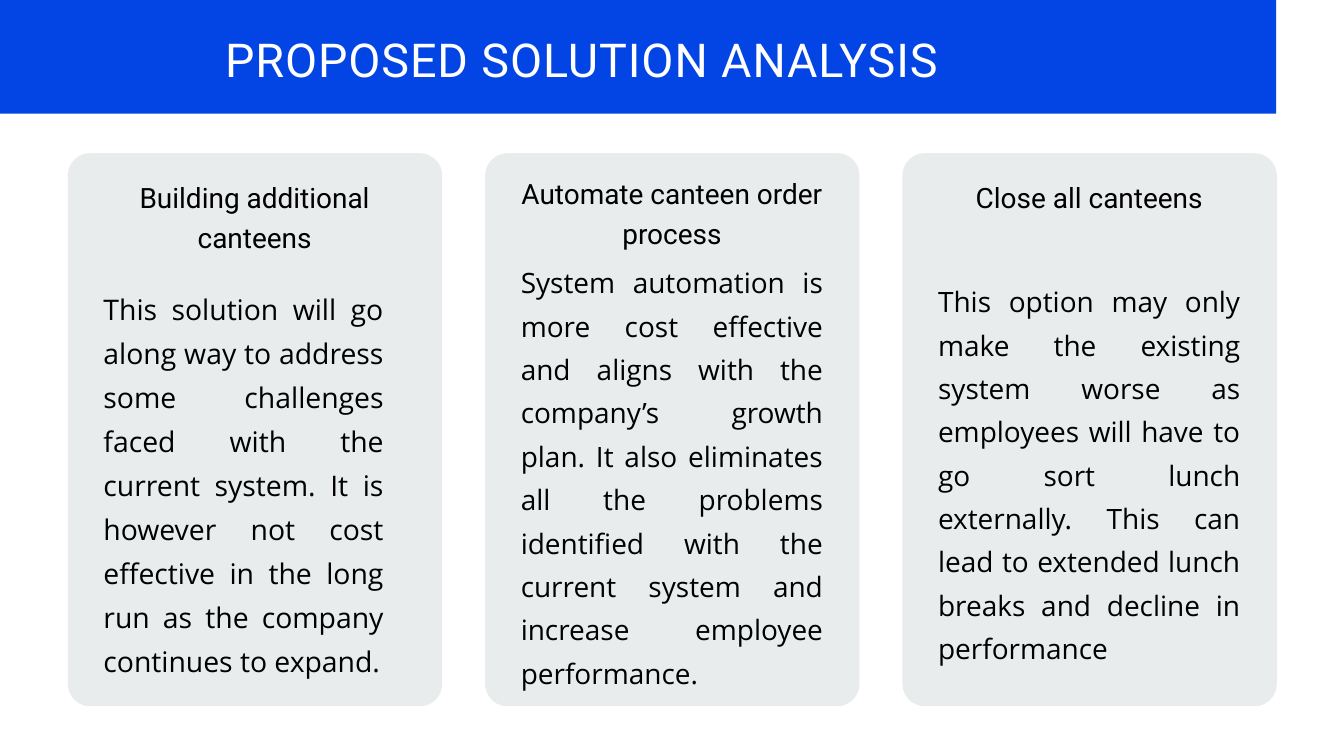
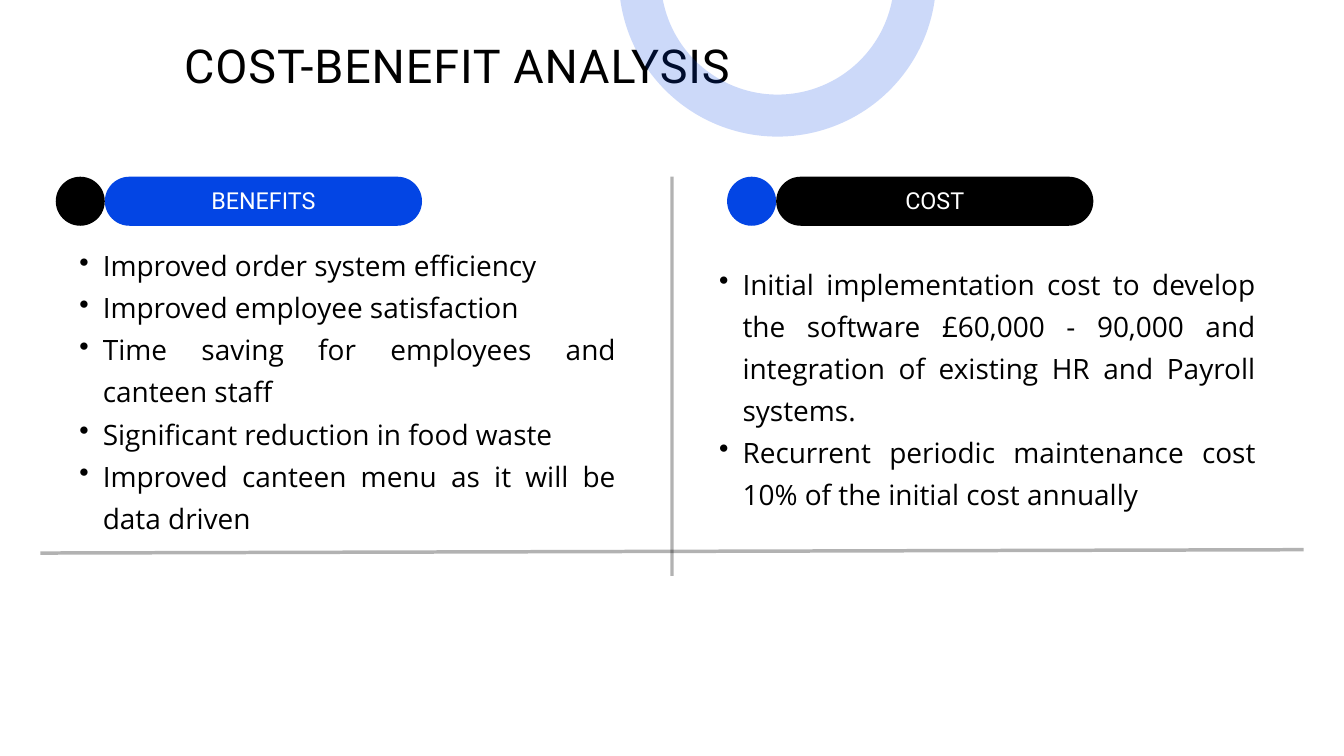
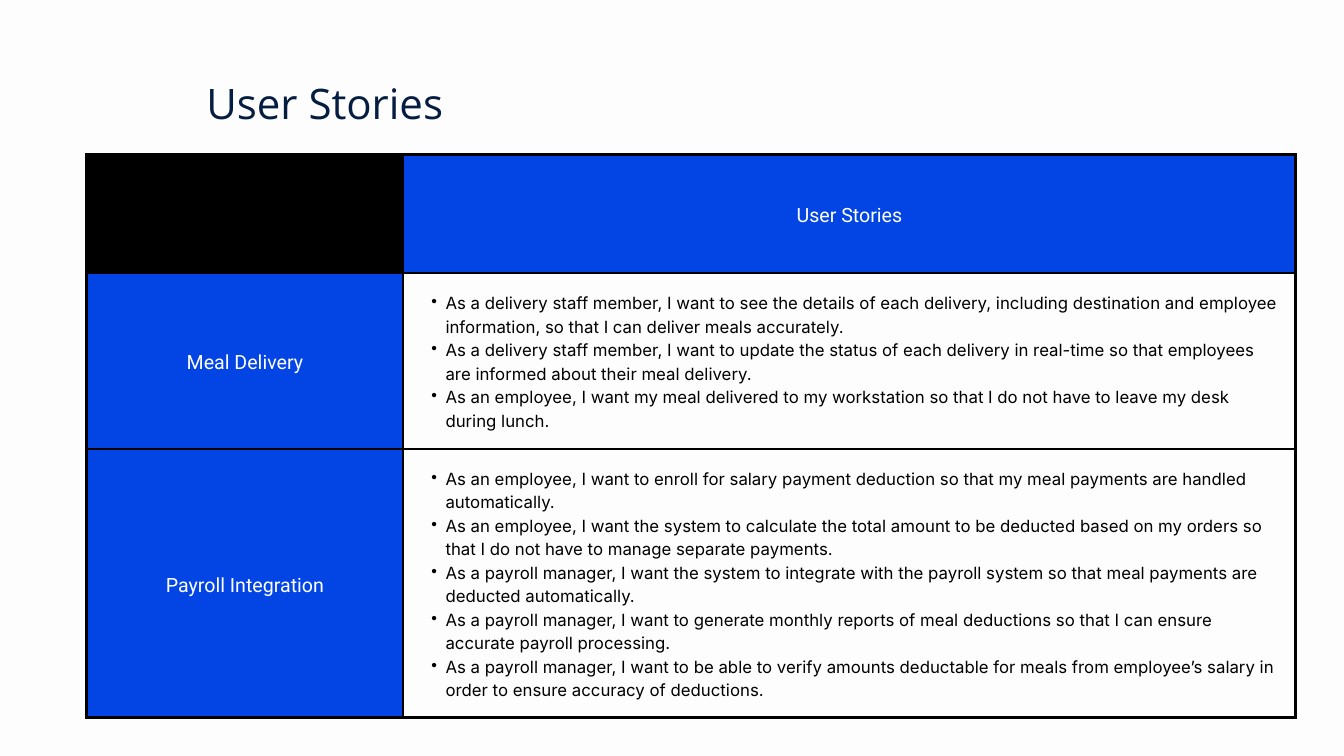
import pptx
import pptx.dml.color
import pptx.enum.shapes
import pptx.enum.text
import pptx.oxml
import pptx.oxml.ns
import pptx.util
from pptx.util import Inches, Pt

BLUE = pptx.dml.color.RGBColor(0x03, 0x45, 0xE4)
BLACK = pptx.dml.color.RGBColor(0x00, 0x00, 0x00)
WHITE = pptx.dml.color.RGBColor(0xFF, 0xFF, 0xFF)
CARD_GREY = pptx.dml.color.RGBColor(0xE8, 0xEC, 0xEC)
NAVY = pptx.dml.color.RGBColor(0x05, 0x1D, 0x40)
PAPER = pptx.dml.color.RGBColor(0xFD, 0xFD, 0xFD)

SHAPES = pptx.enum.shapes.MSO_SHAPE
MIDDLE = pptx.enum.text.MSO_ANCHOR.MIDDLE
LEFT = pptx.enum.text.PP_ALIGN.LEFT
CENTER = pptx.enum.text.PP_ALIGN.CENTER
JUSTIFY = pptx.enum.text.PP_ALIGN.JUSTIFY


def text_style(font, size, spacing, color=BLACK, alignment=LEFT, **extras):
    """Return a style; extras are tracking (points) and indent (inches)."""
    return {
        "font": {"name": font, "size": Pt(size)},
        "paragraph": {"line_spacing": Pt(spacing), "alignment": alignment},
        "color": color,
        **extras,
    }


TITLE = text_style("Roboto", 50, 70, tracking=1)
BAND_TITLE = {**TITLE, "color": WHITE}
STORIES_TITLE = text_style("Open Sans", 45, 63, NAVY)
CARD_HEADING = text_style("Roboto", 30, 42, alignment=CENTER)
CARD_BODY = text_style("Open Sans", 30, 46.5, alignment=JUSTIFY)
FIRST_CARD_BODY = text_style("Open Sans", 30.4, 47.1, alignment=JUSTIFY)
PILL_LABEL = text_style("Roboto", 25, 35, WHITE, CENTER)
POINTS = text_style("Open Sans", 30, 45, alignment=JUSTIFY, indent=0.35)
TABLE_LABEL = text_style("Roboto", 21, 29.4, WHITE, CENTER)
STORY = text_style("Inter", 18, 25.2, indent=0.21)


def set_opacity(line, percent):
    color = line.fill._xPr.find(".//" + pptx.oxml.ns.qn("a:srgbClr"))
    color.append(pptx.oxml.parse_xml(
        f'<a:alpha {pptx.oxml.ns.nsdecls("a")} val="{percent * 1000}"/>'))


def set_borders(cell, width):
    properties = cell._tc.get_or_add_tcPr()
    for position, side in enumerate("LRTB"):
        properties.insert(position, pptx.oxml.parse_xml(
            f'<a:ln{side} {pptx.oxml.ns.nsdecls("a")} w="{Pt(width)}">'
            f'<a:solidFill><a:srgbClr val="{BLACK}"/></a:solidFill></a:ln{side}>'))


class Deck:
    def __init__(self):
        self.presentation = pptx.Presentation()
        self.presentation.slide_width = Inches(20)
        self.presentation.slide_height = Inches(11.25)
        self.slide = None

    def add_slide(self, background=WHITE):
        self.slide = self.presentation.slides.add_slide(
            self.presentation.slide_layouts[6])
        self.slide.background.fill.solid()
        self.slide.background.fill.fore_color.rgb = background

    def fill_frame(self, frame, paragraphs, style):
        frame.word_wrap = True
        for index, text in enumerate(paragraphs):
            paragraph = frame.paragraphs[0] if index == 0 else frame.add_paragraph()
            for name, value in style["paragraph"].items():
                setattr(paragraph, name, value)
            if "indent" in style:
                indent = Inches(style["indent"])
                properties = paragraph._p.get_or_add_pPr()
                properties.set("marL", str(2 * indent))
                properties.set("indent", str(-indent))
                properties.append(pptx.oxml.parse_xml(
                    f'<a:buChar {pptx.oxml.ns.nsdecls("a")} char="•"/>'))
            run = paragraph.add_run()
            run.text = text
            for name, value in style["font"].items():
                setattr(run.font, name, value)
            run.font.color.rgb = style["color"]
            if "tracking" in style:
                run._r.get_or_add_rPr().set("spc", str(style["tracking"] * 100))

    def text(self, left, top, width, height, paragraphs, style):
        box = self.slide.shapes.add_textbox(
            Inches(left), Inches(top), Inches(width), Inches(height))
        frame = box.text_frame
        for side in ("left", "top", "right", "bottom"):
            setattr(frame, f"margin_{side}", 0)
        self.fill_frame(frame, paragraphs, style)

    def shape(self, kind, left, top, width, height, color, corner=None):
        shape = self.slide.shapes.add_shape(
            kind, Inches(left), Inches(top), Inches(width), Inches(height))
        shape.shadow.inherit = False
        shape.fill.solid()
        shape.fill.fore_color.rgb = color
        shape.line.fill.background()
        if corner is not None:
            shape.adjustments[0] = corner
        return shape

    def ring(self, left, top, size, thickness, color, opacity):
        ring = self.shape(SHAPES.OVAL, left, top, size, size, color)
        ring.fill.background()
        ring.line.color.rgb = color
        ring.line.width = Pt(thickness)
        set_opacity(ring.line, opacity)

    def rule(self, start_x, start_y, end_x, end_y):
        rule = self.slide.shapes.add_connector(
            pptx.enum.shapes.MSO_CONNECTOR.STRAIGHT,
            Inches(start_x), Inches(start_y), Inches(end_x), Inches(end_y))
        rule.line.color.rgb = BLACK
        rule.line.width = Pt(3.75)
        set_opacity(rule.line, 30)
        rule._element.spPr.append(pptx.oxml.parse_xml(
            f'<a:effectLst {pptx.oxml.ns.nsdecls("a")}/>'))

    def pill_heading(self, left, label, dot_color, pill_color):
        """Draw a dot followed by a labelled pill."""
        top, size = 2.63, 0.73
        self.shape(SHAPES.OVAL, left, top, size, size, dot_color)
        pill = self.shape(SHAPES.ROUNDED_RECTANGLE, left + size, top,
                          4.72, size, pill_color, 0.5)
        frame = pill.text_frame
        frame.vertical_anchor = MIDDLE
        frame.margin_top, frame.margin_bottom = 0, Inches(0.1)
        self.fill_frame(frame, [label], PILL_LABEL)

    def table(self, left, top, column_widths, row_heights, rows):
        """Fill a grid from rows of (paragraphs, style, fill colour) cells."""
        table = self.slide.shapes.add_table(
            len(row_heights), len(column_widths), Inches(left), Inches(top),
            Inches(sum(column_widths)), Inches(sum(row_heights))).table
        for column, width in zip(table.columns, column_widths):
            column.width = Inches(width)
        for row, height, contents in zip(table.rows, row_heights, rows):
            row.height = Inches(height)
            for cell, (paragraphs, style, color) in zip(row.cells, contents):
                cell.vertical_anchor = MIDDLE
                for side in ("left", "top", "right", "bottom"):
                    setattr(cell, f"margin_{side}", Inches(0.21))
                cell.fill.solid()
                cell.fill.fore_color.rgb = color
                set_borders(cell, 3)
                self.fill_frame(cell.text_frame, paragraphs, style)


def add_solution_slide(deck):
    deck.add_slide()
    deck.shape(SHAPES.RECTANGLE, 0, 0, 18.99, 1.69, BLUE)
    deck.text(3.35, 0.32, 15.64, 0.93, ["PROPOSED SOLUTION ANALYSIS"], BAND_TITLE)
    cards = [
        ("Building additional canteens", 2.61, 4.2, 4.17, FIRST_CARD_BODY,
         "This solution will go along way to address some challenges faced with "
         "the current system. It is however not cost effective in the long run "
         "as the company continues to expand."),
        ("Automate canteen order process", 2.55, 3.81, 4.5, CARD_BODY,
         "System automation is more cost effective and aligns with the company’s "
         "growth plan. It also eliminates all the problems identified with the "
         "current system and increase employee performance."),
        ("Close all canteens", 2.61, 4.09, 4.5, CARD_BODY,
         "This option may only make the existing system worse as employees will "
         "have to go sort lunch externally. This can lead to extended lunch "
         "breaks and decline in performance"),
    ]
    for index, (heading, heading_top, body_top, body_width, style, body) in enumerate(cards):
        left = 1.01 + 6.21 * index
        text_left = left + 0.53
        deck.shape(SHAPES.ROUNDED_RECTANGLE, left, 2.28, 5.57, 8.23, CARD_GREY, 0.06)
        deck.text(text_left, heading_top, 4.5, 1.11, [heading], CARD_HEADING)
        deck.text(text_left, body_top, body_width, 10.1 - body_top, [body], style)


def add_cost_benefit_slide(deck):
    deck.add_slide()
    deck.rule(0.6, 8.23, 19.4, 8.18)
    deck.rule(10, 2.63, 10, 8.57)
    deck.text(2.74, 0.41, 11.78, 0.93, ["COST-BENEFIT ANALYSIS"], TITLE)
    deck.pill_heading(0.83, "BENEFITS", BLACK, BLUE)
    deck.text(0.83, 3.58, 8.34, 4.26, [
        "Improved order system efficiency",
        "Improved employee satisfaction",
        "Time saving for employees and canteen staff",
        "Significant reduction in food waste",
        "Improved canteen menu as it will be data driven",
    ], POINTS)
    deck.pill_heading(10.82, "COST", BLUE, BLACK)
    deck.text(10.35, 3.85, 8.34, 3.65, [
        "Initial implementation cost to develop the software £60,000 - 90,000 "
        "and integration of existing HR and Payroll systems.",
        "Recurrent periodic maintenance cost 10% of the initial cost annually",
    ], POINTS)
    deck.ring(9.52, -2.38, 4.1, 45, BLUE, 20)


def add_user_stories_slide(deck):
    deck.add_slide(PAPER)
    delivery_stories = [
        "As a delivery staff member, I want to see the details of each delivery, "
        "including destination and employee information, so that I can deliver "
        "meals accurately.",
        "As a delivery staff member, I want to update the status of each delivery "
        "in real-time so that employees are informed about their meal delivery.",
        "As an employee, I want my meal delivered to my workstation so that I do "
        "not have to leave my desk during lunch.",
    ]
    payroll_stories = [
        "As an employee, I want to enroll for salary payment deduction so that my "
        "meal payments are handled automatically.",
        "As an employee, I want the system to calculate the total amount to be "
        "deducted based on my orders so that I do not have to manage separate "
        "payments.",
        "As a payroll manager, I want the system to integrate with the payroll "
        "system so that meal payments are deducted automatically.",
        "As a payroll manager, I want to generate monthly reports of meal "
        "deductions so that I can ensure accurate payroll processing.",
        "As a payroll manager, I want to be able to verify amounts deductable for "
        "meals from employee’s salary in order to ensure accuracy of deductions.",
    ]
    deck.table(1.29, 2.3, [4.71, 13.28], [1.76, 2.62, 4], [
        [([], TABLE_LABEL, BLACK), (["User Stories"], TABLE_LABEL, BLUE)],
        [(["Meal Delivery"], TABLE_LABEL, BLUE), (delivery_stories, STORY, PAPER)],
        [(["Payroll Integration"], TABLE_LABEL, BLUE), (payroll_stories, STORY, PAPER)],
    ])
    deck.text(3.07, 1.03, 8.13, 0.84, ["User Stories"], STORIES_TITLE)


def main():
    deck = Deck()
    add_solution_slide(deck)
    add_cost_benefit_slide(deck)
    add_user_stories_slide(deck)
    deck.presentation.save("out.pptx")


if __name__ == "__main__":
    main()
